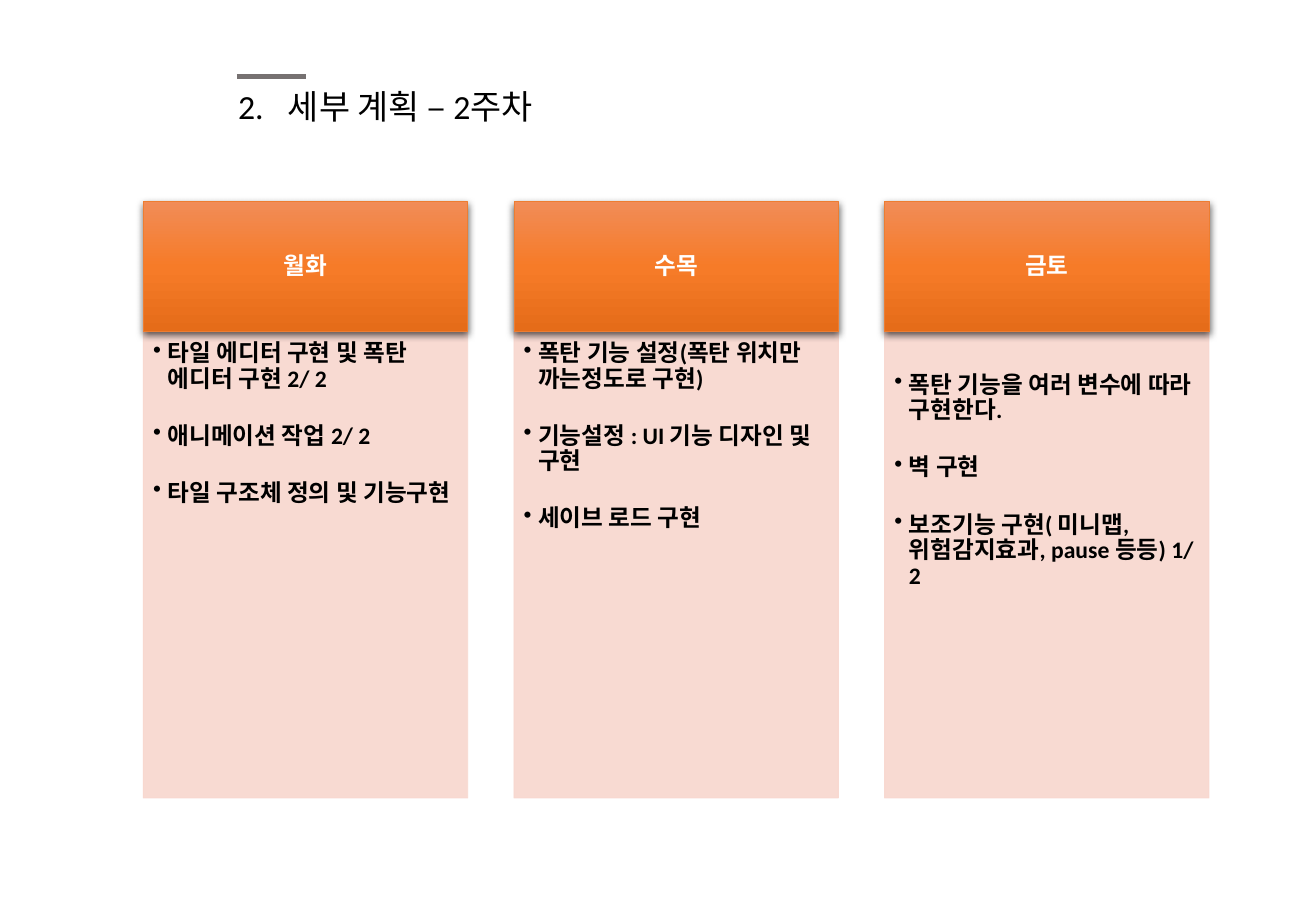
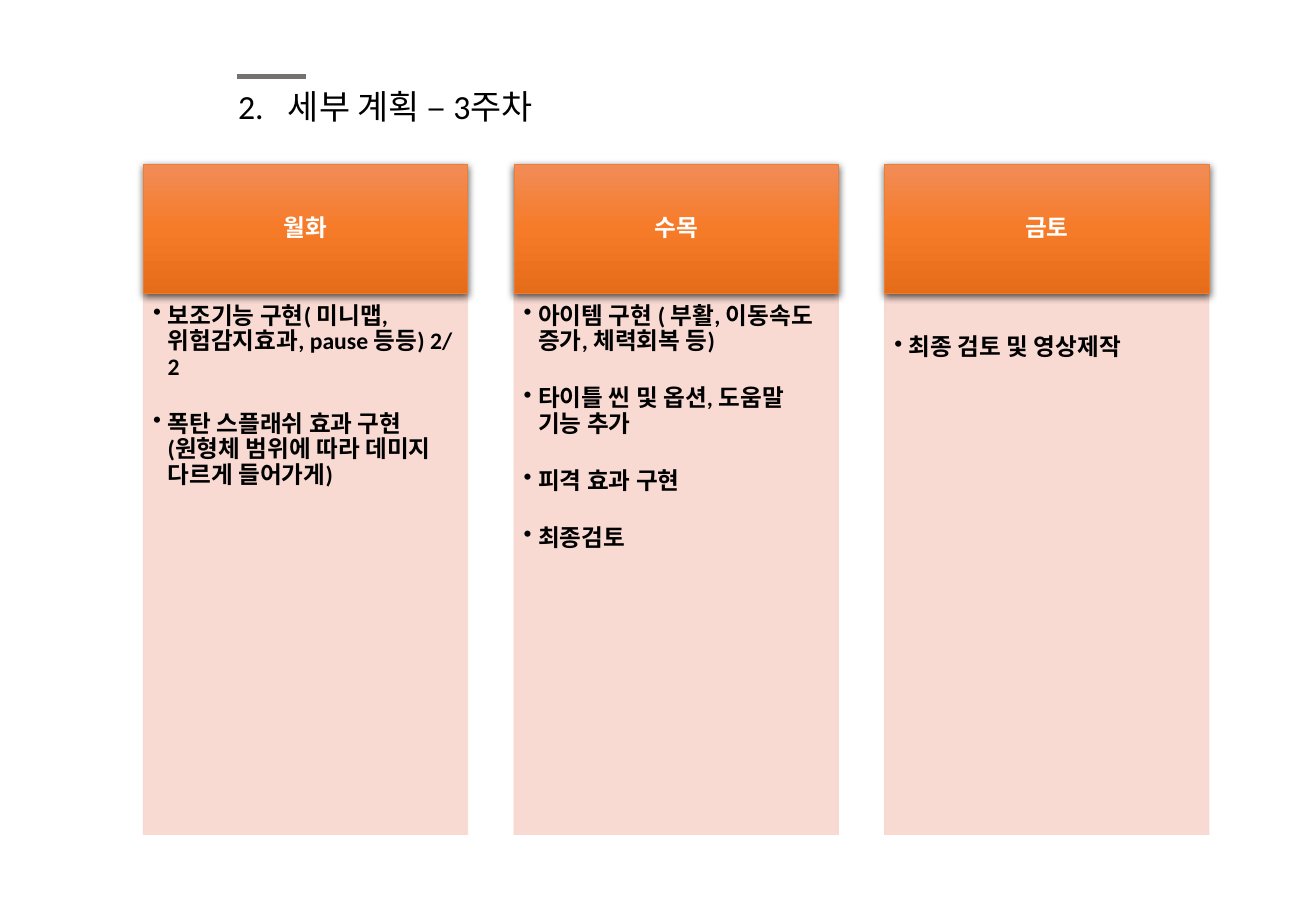
from dataclasses import dataclass

import lxml.etree
import pptx
import pptx.dml.color
import pptx.enum.shapes
import pptx.enum.text
import pptx.oxml.ns
import pptx.shapes.autoshape
import pptx.slide
import pptx.text.text
import pptx.util

Inches = pptx.util.Inches
Pt = pptx.util.Pt
RGBColor = pptx.dml.color.RGBColor
Align = pptx.enum.text.PP_ALIGN
Anchor = pptx.enum.text.MSO_ANCHOR
qn = pptx.oxml.ns.qn

# Shared style
FONT = "Calibri"
BLACK = RGBColor(0x00, 0x00, 0x00)
WHITE = RGBColor(0xFF, 0xFF, 0xFF)
ACCENT_GREY = RGBColor(0x76, 0x71, 0x71)
HEADER_LINE = RGBColor(0xED, 0x7D, 0x31)
BODY_PINK = RGBColor(0xF8, 0xD7, 0xCE)
HEADER_STOPS = (
    (0, RGBColor(0xF1, 0x8C, 0x57)),
    (50, RGBColor(0xF6, 0x7B, 0x28)),
    (100, RGBColor(0xE5, 0x6C, 0x19)),
)

# Column grid, in inches
COLUMN_LEFT = 1.18
COLUMN_PITCH = 3.05
COLUMN_WIDTH = 2.67
HEADER_HEIGHT = 1.07
DAYS = ("월화", "수목", "금토")
BODY_INSET = 0.08
LOWERED_INSET = 0.34


@dataclass(frozen=True)
class Column:
    tasks: tuple[str, ...]
    top_inset: float = BODY_INSET


@dataclass(frozen=True)
class WeekPlan:
    title: str
    top: float
    body_height: float
    columns: tuple[Column, ...]


WEEKS = (
    WeekPlan("2.\t세부 계획 – 2주차", 1.66, 3.84, (
        Column(("타일 에디터 구현 및 폭탄 에디터 구현 2/ 2",
                "애니메이션 작업 2/ 2",
                "타일 구조체 정의 및 기능구현")),
        Column(("폭탄 기능 설정(폭탄 위치만 까는정도로 구현)",
                "기능설정 : UI 기능 디자인 및 구현",
                "세이브 로드 구현")),
        Column(("폭탄 기능을 여러 변수에 따라 구현한다.",
                "벽 구현",
                "보조기능 구현( 미니맵, 위험감지효과, pause 등등) 1/ 2"), LOWERED_INSET),
    )),
    WeekPlan("2.\t세부 계획 – 3주차", 1.35, 4.45, (
        Column(("보조기능 구현( 미니맵, 위험감지효과, pause 등등) 2/ 2",
                "폭탄 스플래쉬 효과 구현 (원형체 범위에 따라 데미지 다르게 들어가게)")),
        Column(("아이템 구현 ( 부활, 이동속도 증가, 체력회복 등)",
                "타이틀 씬 및 옵션, 도움말 기능 추가",
                "피격 효과 구현",
                "최종검토")),
        Column(("최종 검토 및 영상제작",), LOWERED_INSET),
    )),
)


def add_element(parent: lxml.etree._Element, tag: str, **attributes: object) -> lxml.etree._Element:
    values = {name: str(value) for name, value in attributes.items()}
    return lxml.etree.SubElement(parent, qn(tag), values)


def set_font(para: pptx.text.text._Paragraph, size: float, color: RGBColor, bold: bool) -> None:
    para.font.name = FONT
    para.font.size = Pt(size)
    para.font.bold = bold
    para.font.color.rgb = color


def set_hanging(para: pptx.text.text._Paragraph, indent: float) -> lxml.etree._Element:
    properties = para._p.get_or_add_pPr()
    properties.set("marL", str(Inches(indent)))
    properties.set("indent", str(-Inches(indent)))
    return properties


def set_insets(frame: pptx.text.text.TextFrame, left: float, top: float,
               right: float, bottom: float) -> None:
    frame.word_wrap = True
    frame.margin_left, frame.margin_top = Inches(left), Inches(top)
    frame.margin_right, frame.margin_bottom = Inches(right), Inches(bottom)


def add_box(slide: pptx.slide.Slide, left: float, top: float, height: float,
            line: RGBColor) -> pptx.shapes.autoshape.Shape:
    box = slide.shapes.add_shape(
        pptx.enum.shapes.MSO_SHAPE.RECTANGLE,
        Inches(left), Inches(top), Inches(COLUMN_WIDTH), Inches(height))
    box.shadow.inherit = False
    box.line.color.rgb = line
    box.line.width = Pt(0.5)
    return box


def add_title(slide: pptx.slide.Slide, text: str) -> None:
    title = slide.shapes.title
    title.left, title.top = Inches(1.86), Inches(0.66)
    title.width, title.height = Inches(5.24), Inches(0.44)
    frame = title.text_frame
    set_insets(frame, 0.1, 0.05, 0.1, 0.05)
    frame.vertical_anchor = Anchor.TOP
    frame.auto_size = pptx.enum.text.MSO_AUTO_SIZE.SHAPE_TO_FIT_TEXT
    frame.text = text
    para = frame.paragraphs[0]
    para.alignment = Align.LEFT
    set_hanging(para, 0.41)
    set_font(para, 20, BLACK, False)

    # Short accent rule above the title
    rule = slide.shapes.add_connector(
        pptx.enum.shapes.MSO_CONNECTOR.STRAIGHT,
        Inches(1.95), Inches(0.63), Inches(2.52), Inches(0.63))
    rule.line.color.rgb = ACCENT_GREY
    rule.line.width = Pt(3)
    add_element(rule.element.spPr, "a:effectLst")


def add_header(slide: pptx.slide.Slide, left: float, top: float, day: str) -> None:
    header = add_box(slide, left, top, HEADER_HEIGHT, HEADER_LINE)
    properties = header.element.spPr

    # Three-stop vertical gradient
    header.fill.gradient()
    header.fill.gradient_angle = 270
    stops = properties.find(".//" + qn("a:gsLst"))
    stops.clear()
    for percent, color in HEADER_STOPS:
        stop = add_element(stops, "a:gs", pos=percent * 1000)
        add_element(stop, "a:srgbClr", val=color)

    # Soft shadow below
    shadow = add_element(properties.find(qn("a:effectLst")), "a:outerShdw",
                         blurRad=Pt(4.5), dist=Pt(1.5), dir=90 * 60000, rotWithShape=0)
    shade = add_element(shadow, "a:srgbClr", val=BLACK)
    add_element(shade, "a:alpha", val=63000)

    frame = header.text_frame
    set_insets(frame, 0.11, 0.06, 0.11, 0.06)
    frame.vertical_anchor = Anchor.MIDDLE
    frame.text = day
    para = frame.paragraphs[0]
    para.alignment = Align.CENTER
    para.line_spacing = 0.9
    set_font(para, 14, WHITE, True)


def add_body(slide: pptx.slide.Slide, left: float, top: float, height: float,
             column: Column) -> None:
    body = add_box(slide, left, top, height, BODY_PINK)
    body.fill.solid()
    body.fill.fore_color.rgb = BODY_PINK
    for color in body.element.spPr.iter(qn("a:srgbClr")):
        add_element(color, "a:alpha", val=90000)

    frame = body.text_frame
    set_insets(frame, 0.08, column.top_inset, 0.11, 0.12)
    frame.vertical_anchor = Anchor.TOP
    frame.text = "\n".join(column.tasks)
    for para in frame.paragraphs:
        para.alignment = Align.LEFT
        para.line_spacing = 0.9
        para.space_after = Pt(18.7)
        add_element(set_hanging(para, 0.12), "a:buChar", char="•")
        set_font(para, 14, BLACK, True)


def add_week(deck: pptx.presentation.Presentation, week: WeekPlan) -> None:
    slide = deck.slides.add_slide(deck.slide_layouts.get_by_name("Title Only"))
    add_title(slide, week.title)
    for index, (day, column) in enumerate(zip(DAYS, week.columns)):
        left = COLUMN_LEFT + index * COLUMN_PITCH
        add_body(slide, left, week.top + HEADER_HEIGHT, week.body_height, column)
        add_header(slide, left, week.top, day)


def main() -> None:
    deck = pptx.Presentation()
    deck.slide_width, deck.slide_height = Inches(10.83), Inches(7.5)
    for week in WEEKS:
        add_week(deck, week)
    deck.save("out.pptx")


if __name__ == "__main__":
    main()
